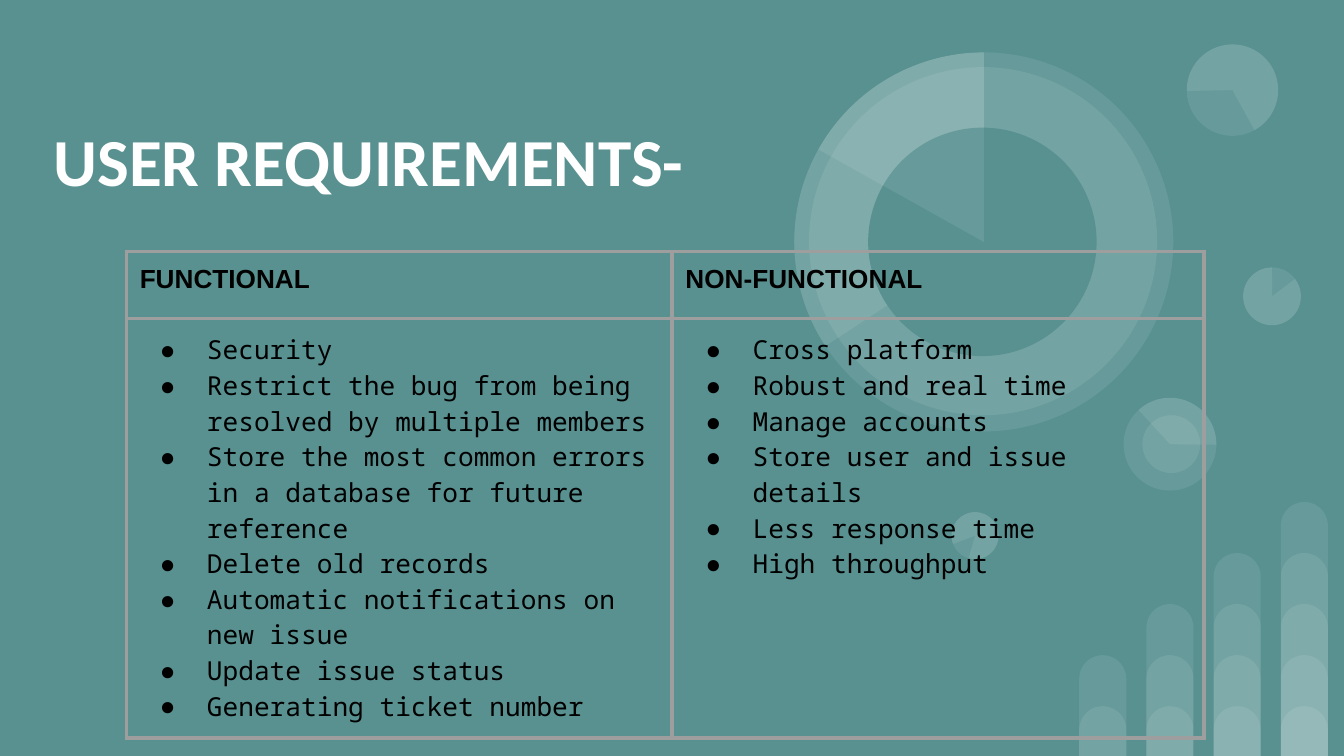
from lxml import etree
from pptx import Presentation
from pptx.dml.color import RGBColor
from pptx.enum.shapes import MSO_SHAPE
from pptx.enum.text import MSO_ANCHOR
from pptx.oxml.ns import qn
from pptx.util import Inches, Pt

BAR = MSO_SHAPE.ROUND_2_SAME_RECTANGLE
CIRCLE = MSO_SHAPE.OVAL
PIE = MSO_SHAPE.PIE
MIDDLE = MSO_ANCHOR.MIDDLE

TEAL = RGBColor(0x59, 0x91, 0x91)
WHITE = RGBColor(0xFF, 0xFF, 0xFF)
BLACK = RGBColor(0x00, 0x00, 0x00)
GREY = RGBColor(0x9E, 0x9E, 0x9E)

SLIDE_WIDTH = 10
SLIDE_HEIGHT = SLIDE_WIDTH * 9 / 16
VEIL_OPACITY = 9  # percent
PIE_TOP = 162  # adjustment value that points straight up

TITLE_FORMAT = {"name": "Calibri", "size": Pt(36), "bold": True}
HEADING_FORMAT = {"name": "Arial", "size": Pt(14), "bold": True}
ITEM_FORMAT = {"name": "Noto Sans Mono", "size": Pt(14), "bold": False}

# Left, top, diameter, rotation, then the pie's start and end or None
RINGS = [
    (9.25, 1.99, 0.43, 0, None),
    (7.08, 3.81, 0.35, 196.2, None),
    (8.36, 2.96, 0.69, 90, None),
    (8.36, 2.96, 0.69, 90, (82.45, 162.46)),
    (8.5, 3.09, 0.43, 90, None),
    (9.25, 1.99, 0.43, 0, (193.77, PIE_TOP)),
    (8.83, 0.33, 0.68, 215.9, None),
    (8.83, 0.33, 0.68, 215.9, (193.77, 123.14)),
    (5.91, 0.39, 2.82, 0, None),
    (6.02, 0.5, 2.59, 34.1, None),
    (5.91, 0.39, 2.82, 0, (88.01, PIE_TOP)),
]
RINGS_OVER_HOLE = [
    (5.91, 0.39, 2.82, 0, (125.54, PIE_TOP)),
    (7.08, 3.81, 0.35, 196.2, (193.77, PIE_TOP)),
]

REQUIREMENTS = {
    "FUNCTIONAL": [
        "Security",
        "Restrict the bug from being resolved by multiple members",
        "Store the most common errors in a database for future reference",
        "Delete old records",
        "Automatic notifications on new issue",
        "Update issue status",
        "Generating ticket number",
    ],
    "NON-FUNCTIONAL": [
        "Cross platform",
        "Robust and real time",
        "Manage accounts",
        "Store user and issue details",
        "Less response time",
        "High throughput",
    ],
}


def add_plain_shape(slide, kind, left, top, width, height, color, opacity=100):
    shape = slide.shapes.add_shape(
        kind, Inches(left), Inches(top), Inches(width), Inches(height))
    shape.shadow.inherit = False
    shape.line.fill.background()
    shape.fill.solid()
    shape.fill.fore_color.rgb = color
    if opacity < 100:
        tint = shape.fill._xPr.find(".//" + qn("a:srgbClr"))
        etree.SubElement(tint, qn("a:alpha"), val=str(opacity * 1000))
    return shape


def add_bars(slide):
    """Each column stacks overlapping bars, one more than the column before."""
    for column in range(4):
        for level in range(column + 2):
            height = 0.37 + 0.38 * level
            bar = add_plain_shape(
                slide, BAR, 8.03 + 0.5 * column, SLIDE_HEIGHT - height,
                0.35, height, WHITE, VEIL_OPACITY)
            bar.adjustments[0] = 0.5


def add_rings(slide, rings):
    for left, top, size, rotation, angles in rings:
        ring = add_plain_shape(slide, PIE if angles else CIRCLE, left, top,
                               size, size, WHITE, VEIL_OPACITY)
        ring.rotation = rotation
        for index, angle in enumerate(angles or ()):
            ring.adjustments[index] = angle


def set_margins(holder):
    for side in ("left", "top", "right", "bottom"):
        setattr(holder, f"margin_{side}", Inches(0.1))


def write(para, text, font_format, color):
    span = para.add_run()
    span.text = text
    for name, value in font_format.items():
        setattr(span.font, name, value)
    span.font.color.rgb = color


def add_title(slide, text):
    box = slide.shapes.add_textbox(
        Inches(0.3), Inches(0.16), Inches(7.55), Inches(2.05))
    frame = box.text_frame
    frame.word_wrap = True
    frame.vertical_anchor = MIDDLE
    set_margins(frame)
    write(frame.paragraphs[0], text, TITLE_FORMAT, WHITE)


def add_bullet(para):
    properties = para._p.get_or_add_pPr()
    properties.set("marL", str(Inches(0.5)))
    properties.set("indent", str(Inches(-0.35)))
    color = etree.SubElement(properties, qn("a:buClr"))
    etree.SubElement(color, qn("a:srgbClr"), val=str(BLACK))
    etree.SubElement(properties, qn("a:buFont"), typeface=ITEM_FORMAT["name"])
    etree.SubElement(properties, qn("a:buChar"), char="●")


def add_borders(cell):
    properties = cell._tc.get_or_add_tcPr()
    for index, side in enumerate(("lnL", "lnR", "lnT", "lnB")):
        line = etree.Element(qn(f"a:{side}"), w=str(Pt(2.25)))
        fill = etree.SubElement(line, qn("a:solidFill"))
        etree.SubElement(fill, qn("a:srgbClr"), val=str(GREY))
        properties.insert(index, line)


def fill_cell(cell, lines, font_format, bulleted):
    cell.fill.background()
    set_margins(cell)
    add_borders(cell)
    frame = cell.text_frame
    for index, text in enumerate(lines):
        para = frame.add_paragraph() if index else frame.paragraphs[0]
        if bulleted:
            add_bullet(para)
        write(para, text, font_format, BLACK)


def add_requirements_table(slide):
    widths, heights = (4.06, 3.96), (0.5, 3.12)
    table = slide.shapes.add_table(
        2, 2, Inches(0.94), Inches(1.87),
        Inches(sum(widths)), Inches(sum(heights))).table
    table.first_row = False
    table.horz_banding = False
    for column, width in zip(table.columns, widths):
        column.width = Inches(width)
    for row, height in zip(table.rows, heights):
        row.height = Inches(height)
    for column, (heading, items) in enumerate(REQUIREMENTS.items()):
        fill_cell(table.cell(0, column), [heading], HEADING_FORMAT, False)
        fill_cell(table.cell(1, column), items, ITEM_FORMAT, True)


def main():
    deck = Presentation()
    deck.slide_width = Inches(SLIDE_WIDTH)
    deck.slide_height = Inches(SLIDE_HEIGHT)
    page = deck.slides.add_slide(deck.slide_layouts[6])
    page.background.fill.solid()
    page.background.fill.fore_color.rgb = TEAL

    # Background decoration, with a hole in the large ring
    add_bars(page)
    add_rings(page, RINGS)
    add_plain_shape(page, CIRCLE, 6.46, 0.95, 1.7, 1.7, TEAL)
    add_rings(page, RINGS_OVER_HOLE)

    # Content
    add_title(page, "USER REQUIREMENTS-")
    add_requirements_table(page)
    deck.save("out.pptx")


if __name__ == "__main__":
    main()
